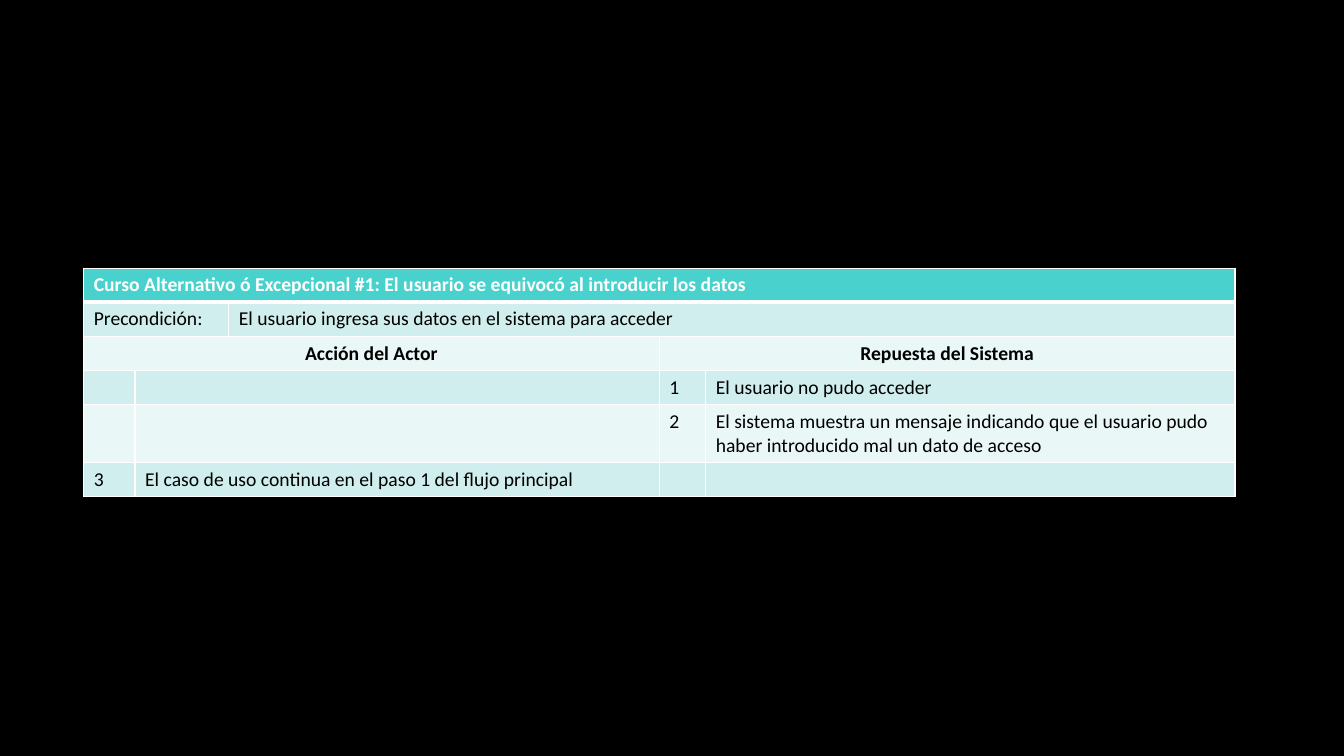
from lxml import etree
from pptx import Presentation
from pptx.dml.color import RGBColor
from pptx.enum.text import PP_ALIGN
from pptx.oxml.ns import qn
from pptx.util import Inches, Pt

LEFT, CENTER = PP_ALIGN.LEFT, PP_ALIGN.CENTER

# Content: each row lists (text, columns spanned)
ROWS = [
    [("Curso Alternativo ó Excepcional #1: El usuario se equivocó al introducir los datos", 5)],
    [("Precondición:", 2), ("El usuario ingresa sus datos en el sistema para acceder", 3)],
    [("Acción del Actor", 3), ("Repuesta del Sistema", 2)],
    [("", 1), ("", 2), ("1", 1), ("El usuario no pudo acceder", 1)],
    [("", 1), ("", 2), ("2", 1),
     ("El sistema muestra un mensaje indicando que el usuario pudo "
      "haber introducido mal un dato de acceso", 1)],
    [("3", 1), ("El caso de uso continua en el paso 1 del flujo principal", 2), ("", 1), ("", 1)],
]
COLS = [0.51, 0.93, 4.27, 0.46, 5.25]
HIGH = [0.33, 0.34, 0.34, 0.34, 0.57, 0.34]
LEAD, HEADS = 0, 2
BANDS = ["E9F7F6", "D0EEED"]
TEAL, WHITE, BLACK = "49D1CD", "FFFFFF", "000000"


def paint(fill, color):
    fill.solid()
    fill.fore_color.rgb = RGBColor.from_string(color)


def edge(cell, side, width):
    line = etree.SubElement(cell._tc.get_or_add_tcPr(), qn("a:ln" + side), w=str(Pt(width)))
    solid = etree.SubElement(line, qn("a:solidFill"))
    etree.SubElement(solid, qn("a:srgbClr"), val=WHITE)


# Slide
deck = Presentation()
deck.slide_width, deck.slide_height = Inches(13.33), Inches(7.5)
slide = deck.slides.add_slide(deck.slide_layouts[6])
paint(slide.background.fill, BLACK)

# Table grid
frame = slide.shapes.add_table(len(ROWS), len(COLS), Inches(0.83), Inches(2.66),
                               Inches(sum(COLS)), Inches(sum(HIGH)))
table = frame.table
for col, width in zip(table.columns, COLS):
    col.width = Inches(width)
for row, height in zip(table.rows, HIGH):
    row.height = Inches(height)

# Borders and fills
for r in range(len(ROWS)):
    for c in range(len(COLS)):
        cell = table.cell(r, c)
        for side in "LRTB":
            thick = (r, side) in ((LEAD, "B"), (LEAD + 1, "T"))
            edge(cell, side, 3 if thick else 1)
        paint(cell.fill, TEAL if r == LEAD else BANDS[r % 2])

# Text and spans
for r, row in enumerate(ROWS):
    c = 0
    for text, span in row:
        cell = table.cell(r, c)
        if span > 1:
            cell.merge(table.cell(r, c + span - 1))
        if text:
            cell.text = text
            para = cell.text_frame.paragraphs[0]
            para.alignment = CENTER if r == HEADS else LEFT
            font = para.font
            font.name, font.size = "Calibri", Pt(14)
            font.bold = r in (LEAD, HEADS)
            paint(font.fill, WHITE if r == LEAD else BLACK)
        else:
            cell.margin_top = cell.margin_bottom = 0
        c += span

deck.save("out.pptx")
